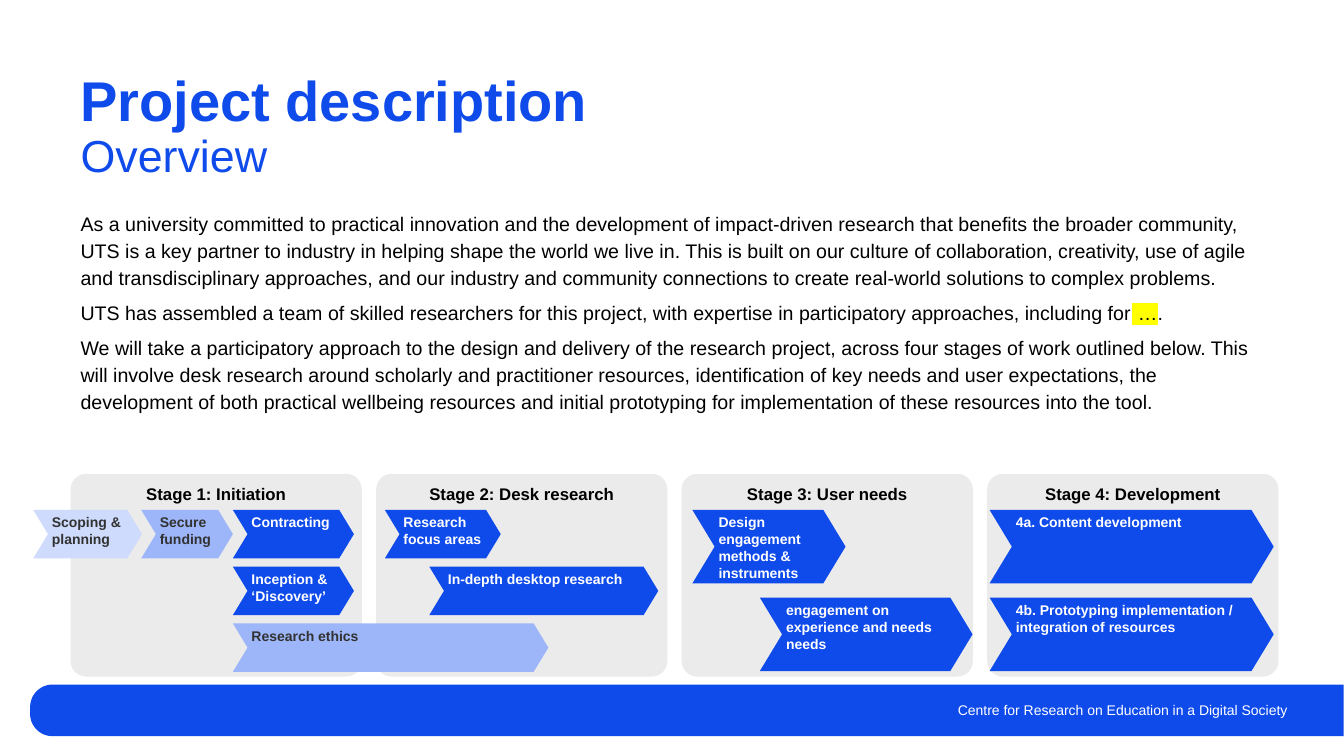
from lxml.etree import SubElement
from pptx import Presentation
from pptx.dml.color import RGBColor
from pptx.enum.shapes import MSO_SHAPE as Shape
from pptx.enum.text import MSO_ANCHOR as Anchor, PP_ALIGN as Align
from pptx.oxml.ns import qn
from pptx.util import Cm, Pt

BLUE, MID, PALE = "0F4BEB", "9DB6F9", "CEDBFC"
GREY, DARK, BLACK, WHITE = "EBEBEB", "323232", "000000", "FFFFFF"

BODY = [
    ["As a university committed to practical innovation and the development of "
     "impact-driven research that benefits the broader community, UTS is a key "
     "partner to industry in helping shape the world we live in. This is built on "
     "our culture of collaboration, creativity, use of agile and transdisciplinary "
     "approaches, and our industry and community connections to create real-world "
     "solutions to complex problems."],
    ["UTS has assembled a team of skilled researchers for this project, with "
     "expertise in participatory approaches, including for", " …", "."],
    ["We will take a participatory approach to the design and delivery of the "
     "research project, across four stages of work outlined below. This will "
     "involve desk research around scholarly and practitioner resources, "
     "identification of key needs and user expectations, the development of both "
     "practical wellbeing resources and initial prototyping for implementation of "
     "these resources into the tool."],
]
STAGES = ["Stage 1: Initiation", "Stage 2: Desk research",
          "Stage 3: User needs", "Stage 4: Development"]

# Chevron rows: low ones in stages 1 and 2, tall ones in stages 3 and 4
LOW, TALL = 1.22, 1.85
LOW_ROWS = [12.85 + 1.43 * i for i in range(3)]
TALL_ROWS = [12.85 + 2.21 * i for i in range(2)]

# Text, left, top, width, height, fill
STEPS = [
    ("Scoping & planning", 0.84, LOW_ROWS[0], 2.74, LOW, PALE),
    ("Secure funding", 3.56, LOW_ROWS[0], 2.31, LOW, MID),
    ("Contracting", 5.87, LOW_ROWS[0], 3.05, LOW, BLUE),
    ("Inception & ‘Discovery’", 5.87, LOW_ROWS[1], 3.05, LOW, BLUE),
    ("Research ethics", 5.87, LOW_ROWS[2], 7.95, LOW, MID),
    ("Research focus areas", 9.7, LOW_ROWS[0], 2.92, LOW, BLUE),
    ("In-depth desktop research", 10.82, LOW_ROWS[1], 5.77, LOW, BLUE),
    ("Design engagement methods & instruments",
     17.45, TALL_ROWS[0], 3.86, TALL, BLUE),
    ("engagement on experience and needs needs",
     19.15, TALL_ROWS[1], 5.36, TALL, BLUE),
    ("4a. Content development", 24.94, TALL_ROWS[0], 7.16, TALL, BLUE),
    ("4b. Prototyping implementation / integration of resources",
     24.94, TALL_ROWS[1], 7.16, TALL, BLUE),
]


def rgb(color):
    return RGBColor.from_string(color)


def style(p, size, color, bold=False, align=Align.LEFT):
    p.alignment = align
    p.font.name = "Arial"
    p.font.size = Pt(size)
    p.font.bold = bold
    p.font.color.rgb = rgb(color)


def add_box(slide, kind, box, fill, adj):
    sp = slide.shapes.add_shape(kind, *map(Cm, box))
    sp.shadow.inherit = False
    sp.fill.solid()
    sp.fill.fore_color.rgb = rgb(fill)
    sp.line.fill.background()
    sp.adjustments[0] = adj
    return sp


def add_label(sp, text, size, color, align, inset=None):
    tf = sp.text_frame
    tf.word_wrap = True
    tf.vertical_anchor = Anchor.TOP
    if inset is not None:
        tf.margin_left = tf.margin_right = Cm(inset)
        tf.margin_top = tf.margin_bottom = Cm(inset)
    p = tf.paragraphs[0]
    p.text = text
    style(p, size, color, True, align)


def add_text(slide, *box):
    tf = slide.shapes.add_textbox(*map(Cm, box)).text_frame
    tf.word_wrap = True
    return tf


def highlight(r, color):
    mark = SubElement(r.font._element, qn("a:highlight"))
    SubElement(mark, qn("a:srgbClr")).set("val", color)


def add_title(slide):
    p = add_text(slide, 1.78, 1.73, 28.68, 3.4).paragraphs[0]
    style(p, 40, BLUE, True)
    p.line_spacing = 0.9
    p.add_run().text = "Project description"
    p.add_line_break()
    r = p.add_run()
    r.text = "Overview"
    r.font.size = Pt(32)
    r.font.bold = False


def add_body(slide):
    tf = add_text(slide, 1.78, 5.13, 30.43, 6.2)
    for i, parts in enumerate(BODY):
        p = tf.add_paragraph() if i else tf.paragraphs[0]
        style(p, 14, BLACK)
        p.line_spacing = 1.14
        p.space_after = Pt(6)
        for part in parts:
            r = p.add_run()
            r.text = part
            if part == " …":
                highlight(r, "FFFF00")


def add_footer(slide):
    tf = add_text(slide, 15.8, 17.37, 16.89, 1.02)
    tf.vertical_anchor = Anchor.MIDDLE
    p = tf.paragraphs[0]
    p.text = "Centre for Research on Education in a Digital Society"
    style(p, 10, WHITE, align=Align.RIGHT)


def main():
    prs = Presentation()
    prs.slide_width, prs.slide_height = Cm(33.87), Cm(19.05)
    slide = prs.slides.add_slide(prs.slide_layouts[6])

    # Footer bar, turned so that its round corners face left
    bar = add_box(slide, Shape.ROUND_2_SAME_RECTANGLE,
                  (16.66, 1.35, 1.3, 33.1), BLUE, 0.433)
    bar.rotation = 270

    # Heading and description
    add_title(slide)
    add_body(slide)

    # Stage panels
    for i, stage in enumerate(STAGES):
        sp = add_box(slide, Shape.ROUNDED_RECTANGLE,
                     (1.78 + 7.7 * i, 11.94, 7.34, 5.11), GREY, 0.077)
        add_label(sp, stage, 12, BLACK, Align.CENTER)

    # Work steps
    for text, *box, fill in STEPS:
        sp = add_box(slide, Shape.CHEVRON, box, fill, 0.303)
        add_label(sp, text, 10, WHITE if fill == BLUE else DARK, Align.LEFT, 0.1)

    add_footer(slide)
    prs.save("out.pptx")


if __name__ == "__main__":
    main()
